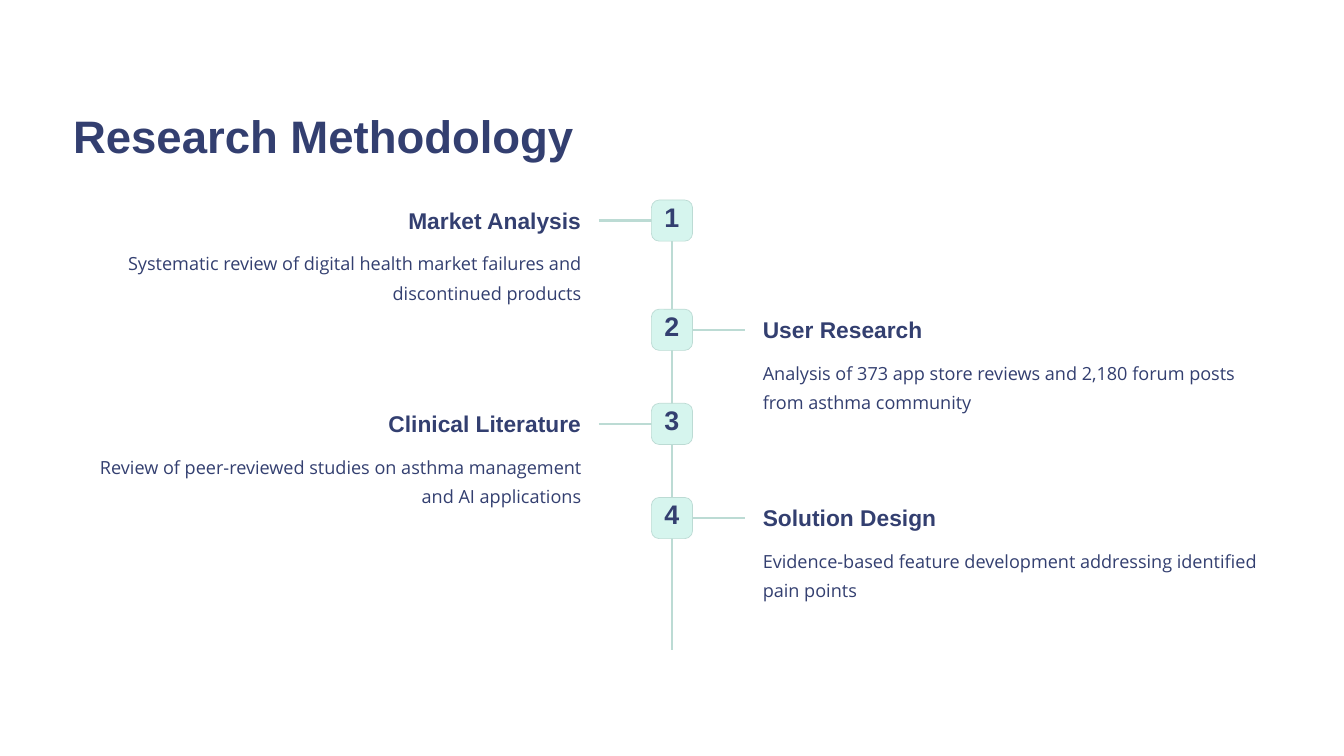
from dataclasses import dataclass

from lxml.etree import SubElement
from pptx import Presentation
from pptx.dml.color import RGBColor
from pptx.enum.shapes import MSO_CONNECTOR, MSO_SHAPE
from pptx.enum.text import MSO_ANCHOR, MSO_AUTO_SIZE, PP_ALIGN
from pptx.oxml.ns import qn
from pptx.slide import Slide
from pptx.text.text import TextFrame
from pptx.util import Pt

HUES = {"ink": "333F70", "line": "BCDBD4", "badge": "D6F5EE"}
MID = 576
SIDE = 35.3
EDGE = 62.6
WIDE = 435.6
STEM = (62.6, 15.8)


@dataclass(frozen=True)
class Style:
    font: str
    size: float
    lead: float
    bold: bool


@dataclass(frozen=True)
class Step:
    top: float
    left: bool
    head: str
    text: str


TITLE = Style("Arial", 39, 48.5, True)
HEAD = Style("Arial", 19.5, 24, True)
BODY = Style("Open Sans", 15.5, 25, False)
COUNT = Style("Arial", 23, 23, True)

STEPS = [
    Step(171.4, True, "Market Analysis",
         "Systematic review of digital health market failures and discontinued products"),
    Step(265, False, "User Research",
         "Analysis of 373 app store reviews and 2,180 forum posts from asthma community"),
    Step(345.7, True, "Clinical Literature",
         "Review of peer-reviewed studies on asthma management and AI applications"),
    Step(426.4, False, "Solution Design",
         "Evidence-based feature development addressing identified pain points"),
]


def tint(name: str) -> RGBColor:
    return RGBColor.from_string(HUES[name])


def write(frame: TextFrame, text: str, style: Style, align: PP_ALIGN, inset: float = 0) -> None:
    frame.margin_left = frame.margin_right = frame.margin_bottom = Pt(0)
    frame.margin_top = Pt(inset)
    frame.word_wrap = True
    frame.auto_size = MSO_AUTO_SIZE.NONE
    frame.vertical_anchor = MSO_ANCHOR.TOP
    para = frame.paragraphs[0]
    para.alignment = align
    para.line_spacing = Pt(style.lead)
    para.space_before = Pt(0)
    run = para.add_run()
    run.text = text
    run.font.name = style.font
    run.font.size = Pt(style.size)
    run.font.bold = style.bold
    run.font.color.rgb = tint("ink")


def rule(slide: Slide, x1: float, y1: float, x2: float, y2: float) -> None:
    line = slide.shapes.add_connector(
        MSO_CONNECTOR.STRAIGHT, Pt(x1), Pt(y1), Pt(x2), Pt(y2))
    line.line.color.rgb = tint("line")
    line.line.width = Pt(2)
    SubElement(line._element.spPr, qn("a:effectLst"))


def label(slide: Slide, x: float, y: float, high: float, text: str,
          style: Style, align: PP_ALIGN) -> None:
    box = slide.shapes.add_textbox(Pt(x), Pt(y), Pt(WIDE), Pt(high))
    write(box.text_frame, text, style, align)


def badge(slide: Slide, top: float, count: int) -> None:
    box = slide.shapes.add_shape(
        MSO_SHAPE.ROUNDED_RECTANGLE, Pt(MID - SIDE / 2), Pt(top), Pt(SIDE), Pt(SIDE))
    box.adjustments[0] = 0.19
    box.shadow.inherit = False
    box.fill.solid()
    box.fill.fore_color.rgb = tint("badge")
    box.line.color.rgb = tint("line")
    box.line.width = Pt(0.6)
    write(box.text_frame, str(count), COUNT, PP_ALIGN.CENTER, 2.9)


def draw(slide: Slide, step: Step, count: int) -> None:
    side = -1 if step.left else 1
    align = PP_ALIGN.RIGHT if step.left else PP_ALIGN.LEFT
    x = EDGE if step.left else 2 * MID - EDGE - WIDE
    y = step.top + SIDE / 2
    far, near = (MID + side * gap for gap in STEM)
    rule(slide, min(far, near), y, max(far, near), y)
    badge(slide, step.top, count)
    label(slide, x, step.top + 5, 24.5, step.head, HEAD, align)
    label(slide, x, step.top + 38.9, 50, step.text, BODY, align)


def main() -> None:
    deck = Presentation()
    deck.slide_width, deck.slide_height = Pt(1152), Pt(648)
    slide = deck.slides.add_slide(deck.slide_layouts[5])
    title = slide.shapes.title
    title.left, title.top = Pt(EDGE), Pt(90.7)
    title.width, title.height = Pt(571), Pt(49)
    write(title.text_frame, "Research Methodology", TITLE, PP_ALIGN.LEFT)
    rule(slide, MID, STEPS[0].top, MID, 557)
    for count, step in enumerate(STEPS, 1):
        draw(slide, step, count)
    deck.save("out.pptx")


if __name__ == "__main__":
    main()
